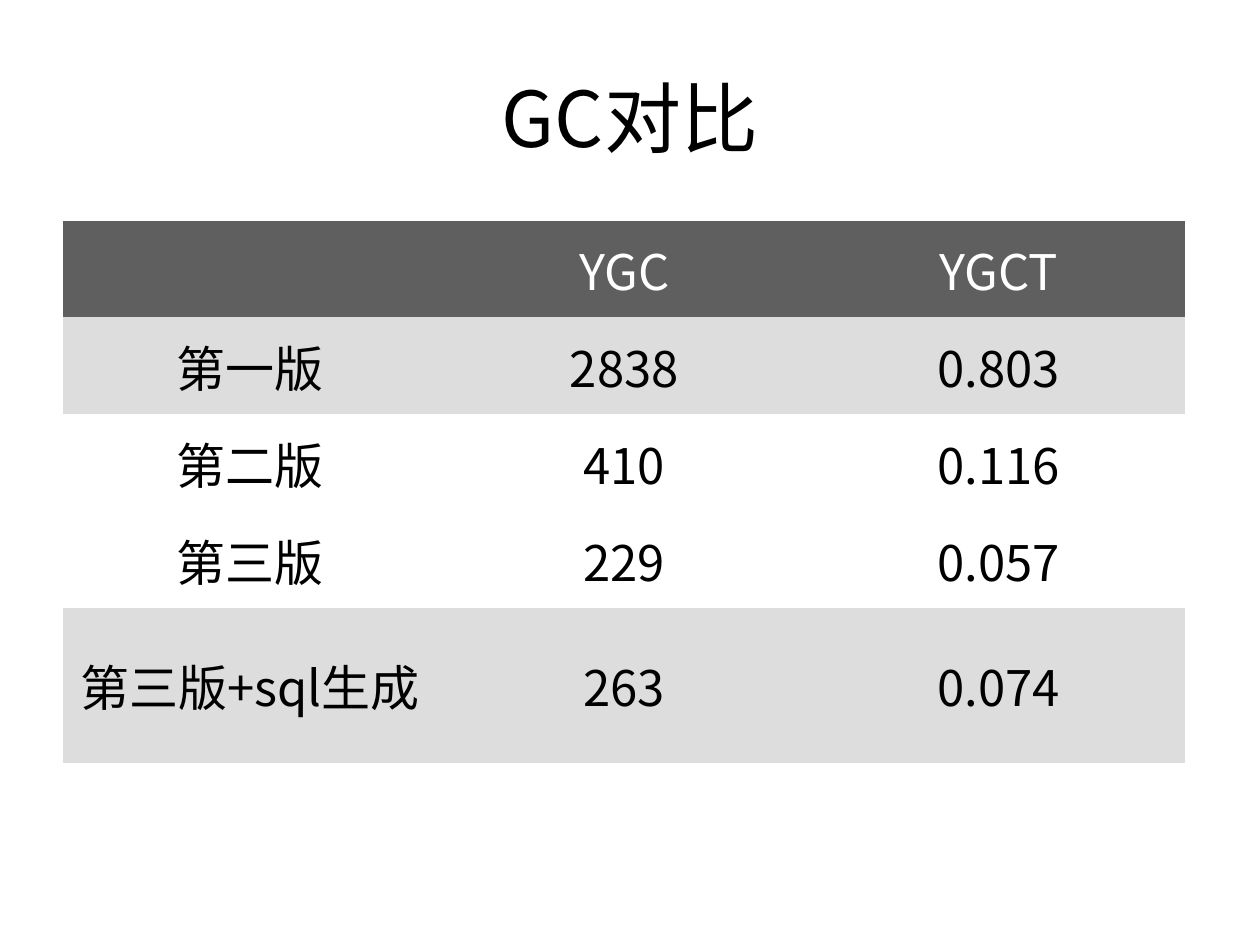
from lxml import etree
from pptx import Presentation
from pptx.dml.color import RGBColor
from pptx.enum.text import MSO_ANCHOR as Anchor, PP_ALIGN as Align
from pptx.oxml import parse_xml
from pptx.oxml.ns import nsdecls, qn
from pptx.util import Inches, Pt

TITLE = "GC对比"
ROWS = [
    ("", "YGC", "YGCT"),
    ("第一版", "2838", "0.803"),
    ("第二版", "410", "0.116"),
    ("第三版", "229", "0.057"),
    ("第三版+sql生成", "263", "0.074"),
]
ROW_HEIGHTS = [0.77, 0.77, 0.77, 0.77, 0.74]
ROW_FILLS = ["header", "band", "white", "white", "band"]
COLUMN_WIDTH = 2.97
COLORS = {"header": "5F5F5F", "band": "DDDDDD", "white": "FFFFFF", "black": "000000"}
FONT = "Noto Sans CJK SC"
PLAIN_STYLE = "{2D5ABB26-0587-4C30-8999-92F81FD0307C}"


def write(frame, text, size, color):
    para = frame.paragraphs[0]
    para.alignment = Align.CENTER
    if not text:
        para.font.size = Pt(size)
        return
    span = para.add_run()
    span.text = text
    span.font.size = Pt(size)
    span.font.name = FONT
    span.font.color.rgb = RGBColor.from_string(COLORS[color])
    east_asian = etree.SubElement(span.font._element, qn("a:ea"))
    east_asian.set("typeface", FONT)


def add_right_border(cell, color):
    border = parse_xml(
        f'<a:lnR {nsdecls("a")} w="12700"><a:solidFill>'
        f'<a:srgbClr val="{COLORS[color]}"/></a:solidFill></a:lnR>'
    )
    cell._tc.get_or_add_tcPr().insert(0, border)


def add_title(page):
    title = page.shapes.title
    title.left, title.top = Inches(0.5), Inches(0.3)
    title.width, title.height = Inches(9), Inches(1.25)
    title.text_frame.vertical_anchor = Anchor.MIDDLE
    write(title.text_frame, TITLE, size=44, color="black")


def add_comparison(page):
    column_count = len(ROWS[0])
    frame = page.shapes.add_table(
        len(ROWS), column_count, Inches(0.5), Inches(1.75),
        Inches(COLUMN_WIDTH * column_count), Inches(sum(ROW_HEIGHTS)),
    )
    table = frame.table
    table._tbl.tblPr.find(qn("a:tableStyleId")).text = PLAIN_STYLE
    for column in table.columns:
        column.width = Inches(COLUMN_WIDTH)
    for row_index, values in enumerate(ROWS):
        table.rows[row_index].height = Inches(ROW_HEIGHTS[row_index])
        fill = ROW_FILLS[row_index]
        for column_index, value in enumerate(values):
            cell = table.cell(row_index, column_index)
            cell.vertical_anchor = Anchor.MIDDLE
            cell.fill.solid()
            cell.fill.fore_color.rgb = RGBColor.from_string(COLORS[fill])
            write(cell.text_frame, value, size=28,
                  color="white" if fill == "header" else "black")
        add_right_border(table.cell(row_index, column_count - 1), "white")


def main():
    deck = Presentation()
    deck.slide_width, deck.slide_height = Inches(10), Inches(7.5)
    page = deck.slides.add_slide(deck.slide_layouts[5])
    add_title(page)
    add_comparison(page)
    deck.save("out.pptx")


if __name__ == "__main__":
    main()
